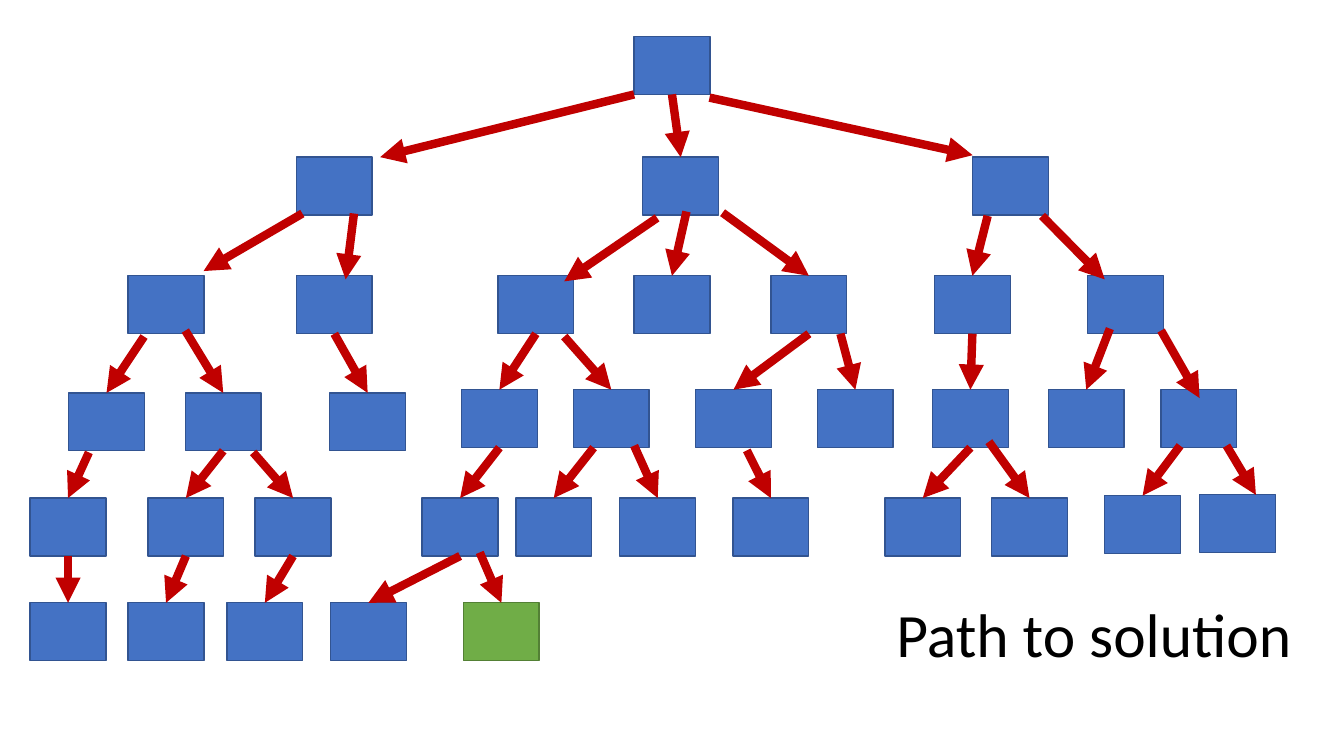
import pptx
import pptx.util
import pptx.dml.color
import pptx.enum.shapes
import pptx.enum.text
import pptx.oxml
import pptx.oxml.ns

Cm, Pt = pptx.util.Cm, pptx.util.Pt
RGB = pptx.dml.color.RGBColor.from_string

COLORS = {
    "node": "4472C4", "node_line": "325491",
    "goal": "70AD47", "goal_line": "538035",
    "arrow": "C00000", "text": "000000",
}
NODE_W, NODE_H = 1.91, 1.46
TOLERANCE = 0.05

# Top of each row of nodes, then their left edges (cm)
ROWS = [
    (0.92, [15.98]),
    (3.96, [7.47, 16.2, 24.51]),
    (6.95, [3.23, 7.47, 12.55, 15.98, 19.43, 23.55, 27.41]),
    (9.9, [1.73, 4.67, 8.31]),
    (9.82, [11.63, 14.45, 17.53, 20.6, 23.5, 26.42, 29.26]),
    (12.55, [0.76, 3.73, 6.43, 10.64, 13, 15.62, 18.47, 22.3, 24.99]),
    (12.49, [27.84]),
    (12.46, [30.23]),
    (15.19, [0.76, 3.23, 5.72, 8.33, 11.68]),
]
GOAL = (11.68, 15.19)

# Start x, y and end x, y of each arrow (cm), level by level
ARROWS = [
    (15.98, 2.38, 9.58, 3.96), (16.94, 2.38, 17.15, 3.96),
    (17.88, 2.46, 24.51, 3.91),

    (7.62, 5.38, 5.13, 6.83), (8.92, 5.38, 8.71, 7.04),
    (16.56, 5.49, 14.22, 7.09), (17.3, 5.33, 16.94, 6.95),
    (18.21, 5.36, 20.37, 6.95), (24.89, 5.44, 24.51, 6.95),
    (26.26, 5.44, 27.84, 7.04),

    (3.63, 8.48, 2.67, 9.9), (4.67, 8.33, 5.64, 9.9),
    (8.41, 8.41, 9.27, 9.9), (13.49, 8.41, 12.6, 9.82),
    (14.22, 8.48, 15.39, 9.82), (20.37, 8.41, 18.47, 9.82),
    (21.18, 8.41, 21.56, 9.82), (24.51, 8.41, 24.43, 9.82),
    (27.97, 8.28, 27.36, 9.82), (29.26, 8.33, 30.23, 10.03),

    (2.24, 11.4, 1.73, 12.55), (5.64, 11.36, 4.67, 12.55),
    (6.38, 11.4, 7.39, 12.55), (12.6, 11.28, 11.58, 12.55),
    (14.96, 11.28, 13.97, 12.55), (15.98, 11.23, 16.56, 12.55),
    (18.82, 11.35, 19.43, 12.55), (24.43, 11.28, 23.27, 12.55),
    (24.92, 11.13, 25.96, 12.55), (29.74, 11.23, 28.78, 12.49),
    (30.91, 11.23, 31.65, 12.47),

    (1.73, 14.02, 1.73, 15.19), (4.67, 14.02, 4.19, 15.19),
    (7.39, 14.02, 6.65, 15.19), (11.58, 14.02, 9.3, 15.19),
    (12.09, 13.92, 12.65, 15.19),
]


def find_site(x, y, site):
    """Return the node whose top (0) or bottom (2) middle lies at x, y, or None."""
    for (left, top), node in nodes.items():
        side_y = top if site == 0 else top + NODE_H
        if max(abs(left + NODE_W / 2 - x), abs(side_y - y)) < TOLERANCE:
            return node
    return None


prs = pptx.Presentation()
prs.slide_width, prs.slide_height = Cm(33.87), Cm(19.05)
s = prs.slides.add_slide(prs.slide_layouts[5])

# Nodes
nodes = {}
for top, lefts in ROWS:
    for left in lefts:
        kind = "goal" if (left, top) == GOAL else "node"
        sp = s.shapes.add_shape(pptx.enum.shapes.MSO_SHAPE.RECTANGLE,
                                Cm(left), Cm(top), Cm(NODE_W), Cm(NODE_H))
        sp.shadow.inherit = False
        sp.fill.solid()
        sp.fill.fore_color.rgb = RGB(COLORS[kind])
        sp.line.color.rgb = RGB(COLORS[kind + "_line"])
        sp.line.width = Pt(1)
        nodes[left, top] = sp

# Arrows, joined to a node where they meet the middle of its side
for x1, y1, x2, y2 in ARROWS:
    cxn = s.shapes.add_connector(pptx.enum.shapes.MSO_CONNECTOR.STRAIGHT,
                                 Cm(x1), Cm(y1), Cm(x2), Cm(y2))
    parent, child = find_site(x1, y1, 2), find_site(x2, y2, 0)
    if parent is not None:
        cxn.begin_connect(parent, 2)
    if child is not None:
        cxn.end_connect(child, 0)
    cxn.line.color.rgb = RGB(COLORS["arrow"])
    cxn.line.width = Pt(6)
    head = pptx.oxml.parse_xml(
        f'<a:tailEnd {pptx.oxml.ns.nsdecls("a")} type="triangle"/>')
    cxn.line._get_or_add_ln().append(head)
    cxn._element.spPr.append(
        pptx.oxml.parse_xml(f'<a:effectLst {pptx.oxml.ns.nsdecls("a")}/>'))

# Title
title = s.shapes.title
title.left, title.top, title.width, title.height = Cm(2.18), Cm(14.63), Cm(30.63), Cm(2.87)
tf = title.text_frame
tf.word_wrap = True
tf.auto_size = pptx.enum.text.MSO_AUTO_SIZE.NONE
tf.vertical_anchor = pptx.enum.text.MSO_ANCHOR.MIDDLE
p = tf.paragraphs[0]
p.alignment = pptx.enum.text.PP_ALIGN.RIGHT
p.line_spacing = 0.9
r = p.add_run()
r.text = "Path to solution"
r.font.name = "Calibri"
r.font.size = Pt(44)
r.font.color.rgb = RGB(COLORS["text"])

prs.save("out.pptx")
